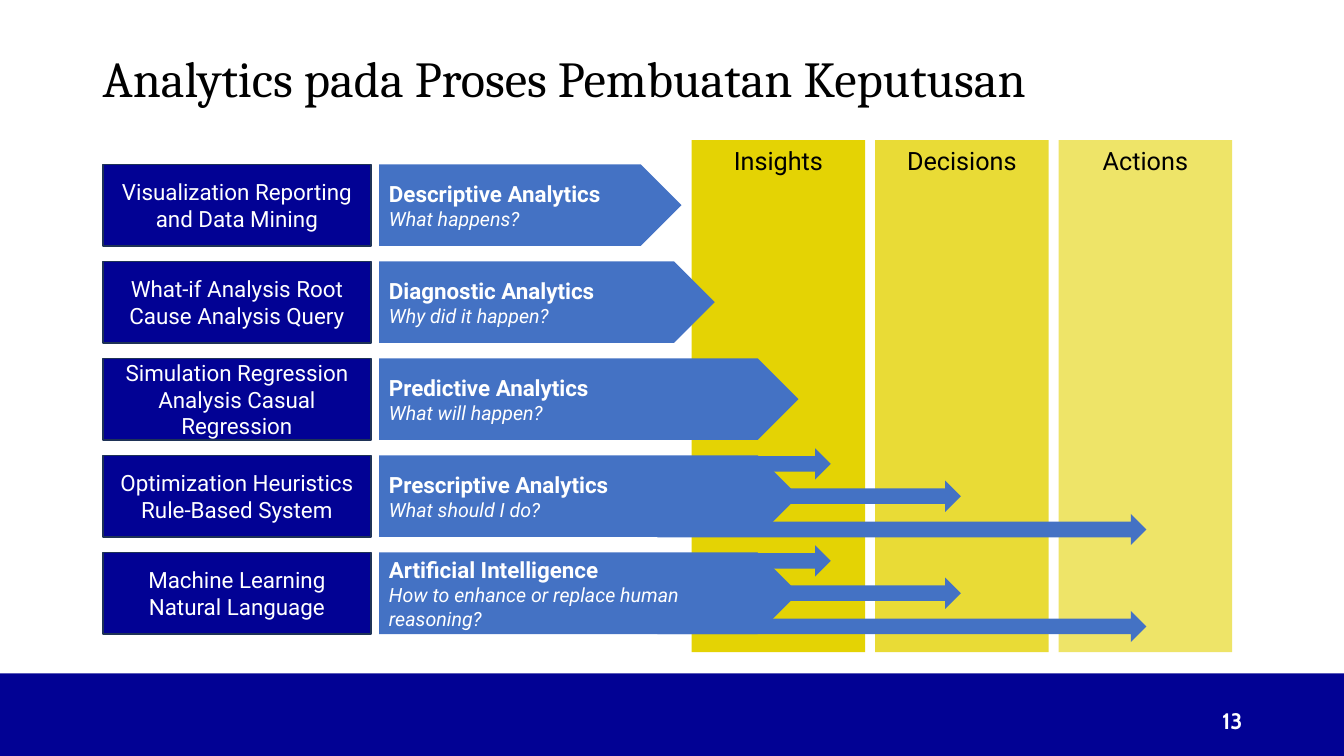
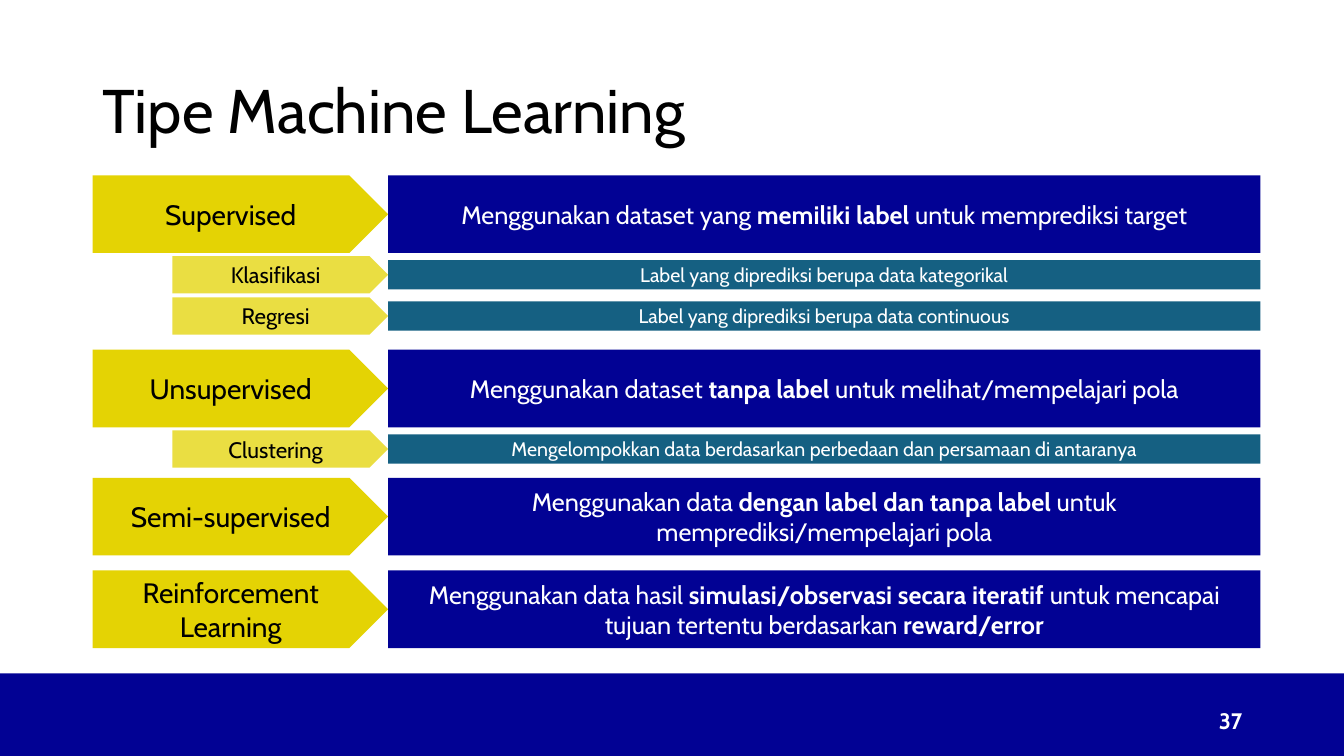
from lxml import etree
from pptx import Presentation
from pptx.dml.color import RGBColor
from pptx.enum.shapes import MSO_SHAPE as Preset
from pptx.enum.text import MSO_ANCHOR as Anchor, PP_ALIGN as Align
from pptx.oxml.ns import qn
from pptx.util import Inches, Pt

COLORS = {
    "navy": "020294",
    "edge": "1E3256",
    "blue": "4472C4",
    "teal": "156082",
    "yellow": "E4D304",
    "black": "000000",
    "white": "FFFFFF",
}
SLIDE_WIDTH, SLIDE_HEIGHT = 13.33, 7.5
BAND_TOP = 6.68

TITLE = {"name": "Cambria", "size": Pt(36)}
LARGE_TITLE = {"name": "Cabin", "size": Pt(44)}
PAGE_NUMBER = {"name": "Cabin", "size": Pt(16), "bold": True}

METHOD = {"name": "Roboto", "size": Pt(16)}
HEADING = {**METHOD, "bold": True}
QUESTION = {"name": "Roboto", "size": Pt(14), "italic": True}
COLUMN = {"name": "Roboto", "size": Pt(18)}

TYPE_LABEL = {"name": "Cabin", "size": Pt(20)}
TYPE_DETAIL = {"name": "Cabin", "size": Pt(18)}
TASK_LABEL = {"name": "Cabin", "size": Pt(16)}
TASK_DETAIL = {"name": "Cabin", "size": Pt(14)}

# method lines, stage name, question, arrow width
STAGES = [
    (["Visualization Reporting and Data Mining"],
     "Descriptive Analytics", "What happens?", 3),
    (["What-if Analysis Root Cause Analysis Query"],
     "Diagnostic Analytics", "Why did it happen?", 3.33),
    (["Simulation Regression Analysis Casual Regression"],
     "Predictive Analytics", "What will happen?", 4.16),
    (["Optimization Heuristics Rule-Based System"],
     "Prescriptive Analytics", "What should I do?", 4.16),
    (["Machine Learning", "Natural Language"],
     "Artificial Intelligence",
     "How to enhance or replace human reasoning?", 4.16),
]
# column name, opacity in percent
OUTCOMES = [("Insights", 100), ("Decisions", 80), ("Actions", 60)]
# offset from the stage's top, right end
REACHES = [(-0.07, 8.24), (0.25, 9.53), (0.58, 11.37)]
# stage index -> left ends of its three reach arrows
REACH_STARTS = {3: (6.52, 6.52, 6.52), 4: (6.52, 7.62, 6.52)}

# top, type, detail (bold between asterisks), tasks
LEARNING_TYPES = [
    (1.74, "Supervised",
     "Menggunakan dataset yang *memiliki label *untuk memprediksi target",
     [("Klasifikasi", "Label yang diprediksi berupa data kategorikal"),
      ("Regresi", "Label yang diprediksi berupa data continuous")]),
    (3.47, "Unsupervised",
     "Menggunakan dataset *tanpa label *untuk melihat/mempelajari pola",
     [("Clustering", "Mengelompokkan data berdasarkan perbedaan "
                     "dan persamaan di antaranya")]),
    (4.74, "Semi-supervised",
     "Menggunakan data *dengan label dan tanpa label *"
     "untuk memprediksi/mempelajari pola", []),
    (5.66, "Reinforcement Learning",
     "Menggunakan data hasil *simulasi/observasi secara iteratif *"
     "untuk mencapai tujuan tertentu berdasarkan *reward/error*", []),
]


def color(name):
    return RGBColor.from_string(COLORS[name])


def write(box, lines, ink, align=Align.CENTER, anchor=Anchor.MIDDLE, spacing=None):
    """Fill a box with (text, format) lines; asterisks switch bold on and off."""
    frame = box.text_frame
    frame.word_wrap = True
    frame.vertical_anchor = anchor
    for index, (text, style) in enumerate(lines):
        para = frame.add_paragraph() if index else frame.paragraphs[0]
        para.alignment = align
        para.line_spacing = spacing
        for part, words in enumerate(text.split("*")):
            if not words:
                continue
            span = para.add_run()
            span.text = words
            span.font.color.rgb = color(ink)
            emphasis = {"bold": True} if part % 2 else {}
            for attribute, value in {**style, **emphasis}.items():
                setattr(span.font, attribute, value)


def add_block(page, preset, area, fill, opacity=100, edge=None):
    block = page.shapes.add_shape(preset, *map(Inches, area))
    block.shadow.inherit = False
    block.fill.solid()
    block.fill.fore_color.rgb = color(fill)
    if opacity < 100:
        tint = block.fill._xPr.find(qn("a:solidFill"))[0]
        etree.SubElement(tint, qn("a:alpha"), val=str(opacity * 1000))
    if edge:
        block.line.color.rgb = color(edge)
        block.line.width = Pt(1)
    else:
        block.line.fill.background()
    return block


def add_text(page, area, text, style, ink, **layout):
    box = page.shapes.add_textbox(*map(Inches, area))
    write(box, [(text, style)], ink, **layout)


def add_page(deck, title, title_style, title_height, number):
    """Add a slide with the shared band, page number and title."""
    page = deck.slides.add_slide(deck.slide_layouts[6])
    add_block(page, Preset.RECTANGLE,
              (0, BAND_TOP, SLIDE_WIDTH, SLIDE_HEIGHT - BAND_TOP), "navy")
    add_text(page, (9.42, 6.95, 3, 0.4), number, PAGE_NUMBER, "white",
             align=Align.RIGHT)
    add_text(page, (0.92, 0.4, 11.5, title_height), title, title_style, "black",
             align=Align.LEFT, spacing=0.9)
    return page


def add_outcome_columns(page):
    for index, (name, opacity) in enumerate(OUTCOMES):
        column = add_block(page, Preset.RECTANGLE,
                           (6.86 + 1.82 * index, 1.39, 1.72, 5.08),
                           "yellow", opacity)
        write(column, [(name, COLUMN)], "black", anchor=Anchor.TOP)


def add_stage(page, top, methods, name, question, width):
    height = 0.81
    method_box = add_block(page, Preset.RECTANGLE, (1.02, top, 2.66, height),
                           "navy", edge="edge")
    write(method_box, [(line, METHOD) for line in methods], "white")
    arrow = add_block(page, Preset.PENTAGON, (3.76, top, width, height), "blue")
    write(arrow, [(name, HEADING), (question, QUESTION)], "white",
          align=Align.LEFT)


def add_reach_arrows(page, top, starts):
    for start, (offset, end) in zip(starts, REACHES):
        add_block(page, Preset.RIGHT_ARROW,
                  (start, top + offset, end - start, 0.31), "blue")


def build_decision_page(deck):
    page = add_page(deck, "Analytics pada Proses Pembuatan Keputusan",
                    TITLE, 0.81, "13")
    add_outcome_columns(page)
    first_top, last_top = 1.63, 5.48
    pitch = (last_top - first_top) / (len(STAGES) - 1)
    for index, stage in enumerate(STAGES):
        top = first_top + pitch * index
        add_stage(page, top, *stage)
        add_reach_arrows(page, top, REACH_STARTS.get(index, ()))


def add_label_and_detail(page, label_area, label, label_style, opacity,
                         bar_height, bar_fill, detail, detail_style):
    """Add a yellow pointer and the bar that it points at, centred on it."""
    left, top, width, height = label_area
    pointer = add_block(page, Preset.PENTAGON, label_area, "yellow", opacity)
    write(pointer, [(label, label_style)], "black")
    bar_top = top + (height - bar_height) / 2
    bar = add_block(page, Preset.RECTANGLE,
                    (left + width, bar_top, 8.65, bar_height), bar_fill)
    write(bar, [(detail, detail_style)], "white")


def build_learning_page(deck):
    page = add_page(deck, "Tipe Machine Learning", LARGE_TITLE, 1.45, "37")
    for top, name, detail, tasks in LEARNING_TYPES:
        add_label_and_detail(page, (0.92, top, 2.93, 0.77), name, TYPE_LABEL, 100,
                             0.77, "navy", detail, TYPE_DETAIL)
        for index, (task, task_detail) in enumerate(tasks):
            task_top = top + 0.8 + 0.41 * index
            add_label_and_detail(page, (1.71, task_top, 2.14, 0.37), task,
                                 TASK_LABEL, 75, 0.29, "teal", task_detail,
                                 TASK_DETAIL)


def main():
    deck = Presentation()
    deck.slide_width = Inches(SLIDE_WIDTH)
    deck.slide_height = Inches(SLIDE_HEIGHT)
    build_decision_page(deck)
    build_learning_page(deck)
    deck.save("out.pptx")


if __name__ == "__main__":
    main()
